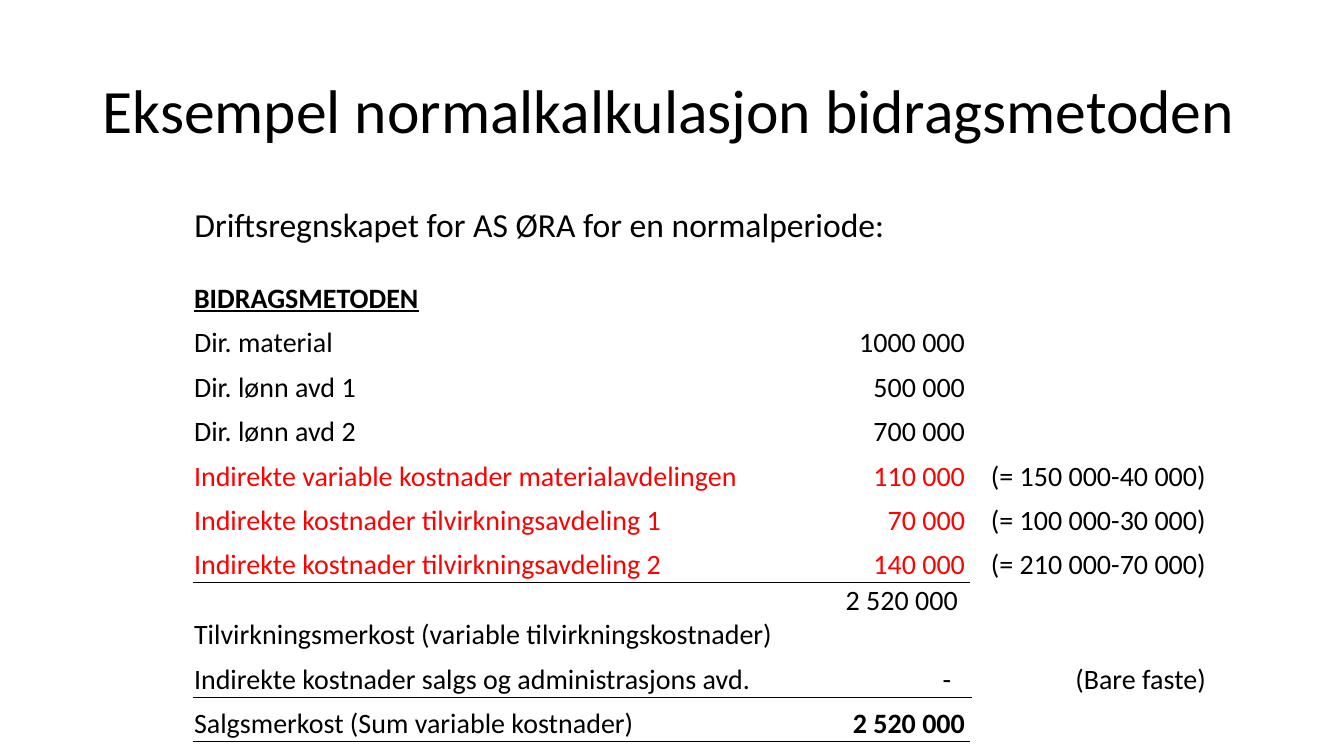
from dataclasses import dataclass

from lxml.etree import SubElement
from pptx import Presentation
from pptx.dml.color import RGBColor
from pptx.enum.text import MSO_ANCHOR, MSO_AUTO_SIZE, PP_ALIGN
from pptx.oxml.ns import qn
from pptx.util import Cm, Pt


@dataclass(frozen=True)
class Theme:
    font: str = "Calibri"
    black: str = "000000"
    red: str = "FF0000"
    title: int = 44
    lead: int = 24
    body: int = 20
    rule: float = 0.5


ROWS = [
    ("BIDRAGSMETODEN", "", ""),
    ("Dir. material", "1000 000", ""),
    ("Dir. lønn avd 1", "500 000", ""),
    ("Dir. lønn avd 2", "700 000", ""),
    ("Indirekte variable kostnader materialavdelingen", "110 000", "(= 150 000-40 000)"),
    ("Indirekte kostnader tilvirkningsavdeling 1", "70 000", "(= 100 000-30 000)"),
    ("Indirekte kostnader tilvirkningsavdeling 2", "140 000", "(= 210 000-70 000)"),
    ("Tilvirkningsmerkost (variable tilvirkningskostnader)", "2 520 000", ""),
    ("Indirekte kostnader salgs og administrasjons avd.", "-", "(Bare faste)"),
    ("Salgsmerkost (Sum variable kostnader)", "2 520 000", ""),
]
WIDTHS = (15.46, 4.14, 5.94)
HEIGHT, TALL = 1.12, 1.76
HEAD, COSTS, SUBTOTAL, SALES, TOTAL = 0, range(4, 7), 7, 8, 9
RULED = (6, 8, 9)
INDENTS = {SUBTOTAL: 0.33, SALES: 0.5}


def apply(item, values):
    for name, value in values.items():
        setattr(item, name, value)


class Page:
    def __init__(self, deck, theme):
        self.theme = theme
        self.slide = deck.slides.add_slide(deck.slide_layouts[5])

    def label(self, para, text, size, color=None, **style):
        run = para.add_run()
        run.text = text
        apply(run.font, {"name": self.theme.font, "size": Pt(size), **style})
        run.font.color.rgb = RGBColor.from_string(color or self.theme.black)

    def place(self, shape, box, anchor):
        names = ("left", "top", "width", "height")
        apply(shape, dict(zip(names, map(Cm, box))))
        apply(shape.text_frame, {
            "word_wrap": True,
            "auto_size": MSO_AUTO_SIZE.NONE,
            "vertical_anchor": anchor,
        })
        para = shape.text_frame.paragraphs[0]
        apply(para, {"alignment": PP_ALIGN.LEFT, "line_spacing": 0.9})
        return para

    def title(self, text, box):
        para = self.place(self.slide.shapes.title, box, MSO_ANCHOR.MIDDLE)
        self.label(para, text, self.theme.title)

    def lead(self, text, box):
        shape = self.slide.shapes.add_textbox(*map(Cm, box))
        para = self.place(shape, box, MSO_ANCHOR.TOP)
        para.space_before = Pt(10)
        self.label(para, text, self.theme.lead)

    def border(self, cell, sides):
        props = cell._tc.get_or_add_tcPr()
        for spot, side in enumerate(sides):
            line = SubElement(props, qn(f"a:{side}"), w=str(Pt(self.theme.rule)))
            fill = SubElement(line, qn("a:solidFill"))
            SubElement(fill, qn("a:srgbClr"), val=self.theme.black)
            props.remove(line)
            props.insert(spot, line)

    def cell(self, cell, text, row, col):
        indent = INDENTS.get(row, 0.15) if col == 1 else 0.02
        high = row == SUBTOTAL and col == 1
        apply(cell, {
            "margin_left": Cm(0.02),
            "margin_right": Cm(indent),
            "margin_top": Cm(0.02),
            "margin_bottom": 0,
            "vertical_anchor": MSO_ANCHOR.TOP if high else MSO_ANCHOR.BOTTOM,
        })
        cell.fill.background()
        if col < 2:
            sides = [("lnT", row - 1), ("lnB", row)]
            self.border(cell, [side for side, at in sides if at in RULED])
        para = cell.text_frame.paragraphs[0]
        para.alignment = PP_ALIGN.RIGHT if col else PP_ALIGN.LEFT
        if text:
            color = self.theme.red if row in COSTS and col < 2 else None
            bold = row == HEAD or (row == TOTAL and col == 1)
            self.label(para, text, self.theme.body, color,
                       bold=bold, underline=row == HEAD)

    def table(self, rows, left, top):
        height = HEIGHT * (len(rows) - 1) + TALL
        size = (left, top, sum(WIDTHS), height)
        frame = self.slide.shapes.add_table(len(rows), len(WIDTHS), *map(Cm, size))
        grid = frame.table
        apply(grid, {"first_row": False, "horz_banding": False})
        for col, width in enumerate(WIDTHS):
            grid.columns[col].width = Cm(width)
        for row, texts in enumerate(rows):
            grid.rows[row].height = Cm(TALL if row == SUBTOTAL else HEIGHT)
            for col, text in enumerate(texts):
                self.cell(grid.cell(row, col), text, row, col)


def main():
    deck = Presentation()
    apply(deck, {"slide_width": Cm(33.87), "slide_height": Cm(19.05)})
    page = Page(deck, Theme())
    page.title("Eksempel normalkalkulasjon bidragsmetoden", (2.33, 1.01, 29.21, 3.68))
    page.lead("Driftsregnskapet for AS ØRA for en normalperiode:", (4.65, 5.13, 22.86, 12.57))
    page.table(ROWS, 4.87, 6.84)
    deck.save("out.pptx")


if __name__ == "__main__":
    main()
